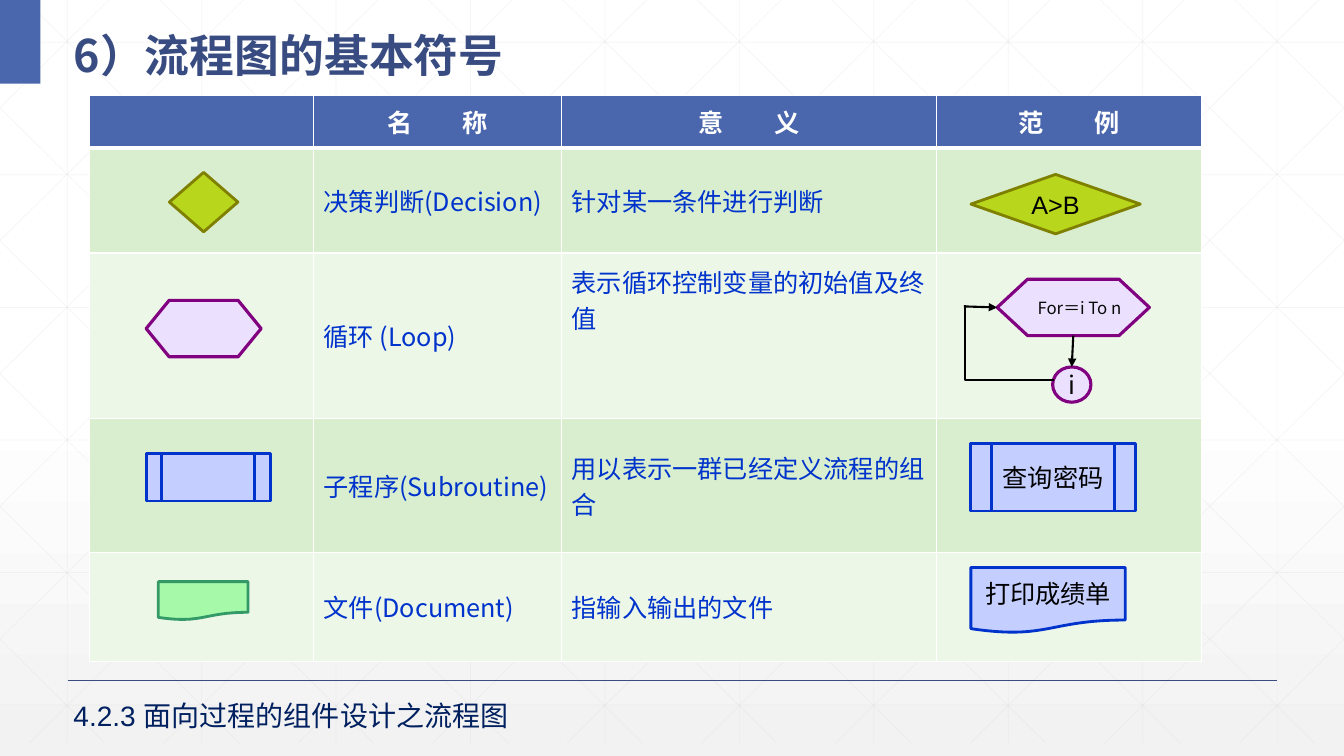
from pptx import Presentation
from pptx.dml.color import RGBColor
from pptx.enum.shapes import MSO_CONNECTOR, MSO_SHAPE
from pptx.enum.text import MSO_ANCHOR, MSO_AUTO_SIZE, PP_ALIGN
from pptx.oxml.ns import qn
from pptx.util import Inches, Pt
from lxml.etree import SubElement

WIDTH, HEIGHT = 13.33, 7.5
NOTO, ARIAL = "Noto Sans CJK SC", "Arial"
COLORS = {
    "white": "FFFFFF", "mist": "F2F2F2", "grid": "D9D9D9", "navy": "384C81",
    "header": "4A66AC", "band": "D8EECE", "pale": "ECF7E8", "blue": "0033CC",
    "footer": "002060", "black": "000000", "ink": "080808", "lime": "B7D61C",
    "olive": "808000", "lavender": "EBE1FF", "purple": "800080",
    "sky": "C5CFFF", "mint": "A5F9A9", "green": "339966",
}


def color(name):
    return RGBColor.from_string(COLORS[name])


class FlowchartSlide:
    def __init__(self, presentation):
        self.slide = presentation.slides.add_slide(presentation.slide_layouts[5])
        self.shapes = self.slide.shapes

    def background(self):
        fill = self.slide.background.fill
        fill.gradient()
        fill.gradient_angle = 270
        for stop, name, position in zip(fill.gradient_stops, ("white", "mist"), (0.53, 1)):
            stop.color.rgb = color(name)
            stop.position = position

    def run(self, paragraph, text, size, name, font=NOTO, bold=False, gap=0):
        run = paragraph.add_run()
        run.text = text
        run.font.size = Pt(size)
        run.font.bold = bold
        run.font.name = font
        run.font.color.rgb = color(name)
        properties = run.font._element
        east_asian = SubElement(properties, qn("a:ea"))
        east_asian.set("typeface", NOTO)
        if gap:
            properties.set("spc", str(gap * 100))

    def line(self, start, end, name, width, kind=MSO_CONNECTOR.STRAIGHT, alpha=None, arrow=False):
        points = [Inches(value) for value in (*start, *end)]
        connector = self.shapes.add_connector(kind, *points)
        connector.line.color.rgb = color(name)
        connector.line.width = Pt(width)
        properties = connector.element.spPr
        outline = properties.find(qn("a:ln"))
        if alpha:
            opacity = SubElement(outline.find(".//" + qn("a:srgbClr")), qn("a:alpha"))
            opacity.set("val", str(alpha * 1000))
        if arrow:
            SubElement(outline, qn("a:tailEnd")).set("type", "triangle")
        SubElement(properties, qn("a:effectLst"))
        return connector

    def elbow(self, start, end, name, width, bend):
        connector = self.line(start, end, name, width, MSO_CONNECTOR.ELBOW)
        guides = connector.element.spPr.find(".//" + qn("a:avLst"))
        guide = SubElement(guides, qn("a:gd"))
        guide.set("name", "adj1")
        guide.set("fmla", f"val {bend}")

    def symbol(self, kind, box, fill, border=None, width=2.0, runs=(), size=18,
               text_color="black", centered=True):
        shape = self.shapes.add_shape(kind, *[Inches(value) for value in box])
        shape.shadow.inherit = False
        shape.fill.solid()
        shape.fill.fore_color.rgb = color(fill)
        if border:
            shape.line.color.rgb = color(border)
            shape.line.width = Pt(width)
        else:
            shape.line.fill.background()
        if runs:
            frame = shape.text_frame
            frame.word_wrap = centered
            frame.vertical_anchor = MSO_ANCHOR.MIDDLE
            paragraph = frame.paragraphs[0]
            paragraph.alignment = PP_ALIGN.CENTER if centered else PP_ALIGN.LEFT
            for text, font in runs:
                self.run(paragraph, text, size, text_color, font)
        return shape

    def title(self, box, text):
        title = self.shapes.title
        title.element.getparent().append(title.element)
        title.left, title.top, title.width, title.height = [Inches(value) for value in box]
        frame = title.text_frame
        frame.auto_size = MSO_AUTO_SIZE.NONE
        frame.vertical_anchor = MSO_ANCHOR.MIDDLE
        paragraph = frame.paragraphs[0]
        paragraph.alignment = PP_ALIGN.LEFT
        paragraph.line_spacing = 1.3
        self.run(paragraph, text, 32, "navy", bold=True)

    def text(self, box, text, size, name, font):
        frame = self.shapes.add_textbox(*[Inches(value) for value in box]).text_frame
        frame.word_wrap = True
        frame.auto_size = MSO_AUTO_SIZE.SHAPE_TO_FIT_TEXT
        self.run(frame.paragraphs[0], text, size, name, font)

    def cell_style(self, cell, fill, widths):
        properties = cell._tc.get_or_add_tcPr()
        for side, width in widths.items():
            border = SubElement(properties, qn(f"a:ln{side}"))
            border.set("w", str(Pt(width)))
            paint = SubElement(border, qn("a:solidFill"))
            SubElement(paint, qn("a:srgbClr")).set("val", COLORS["white"])
        cell.fill.solid()
        cell.fill.fore_color.rgb = color(fill)
        cell.vertical_anchor = MSO_ANCHOR.MIDDLE

    def table(self, box, widths, heights, headings, rows):
        frame = self.shapes.add_table(len(heights), len(widths), *[Inches(value) for value in box])
        table = frame.table
        for column, width in zip(table.columns, widths):
            column.width = Inches(width)
        for index, height in enumerate(heights):
            table.rows[index].height = Inches(height)
            fill = "header" if index == 0 else ("pale", "band")[index % 2]
            borders = {"L": 1, "R": 1, "T": 3 if index == 1 else 1, "B": 3 if index == 0 else 1}
            for cell in table.rows[index].cells:
                self.cell_style(cell, fill, borders)
        for column, (first, last) in enumerate(headings, 1):
            paragraph = table.cell(0, column).text_frame.paragraphs[0]
            paragraph.alignment = PP_ALIGN.CENTER
            self.run(paragraph, first, 18, "white", bold=True, gap=36)
            self.run(paragraph, last, 18, "white", bold=True)
        for index, texts in enumerate(rows, 1):
            for column, text in enumerate(texts, 1):
                paragraph = table.cell(index, column).text_frame.paragraphs[0]
                self.run(paragraph, text, 18, "blue")
        return table

    def grid(self):
        bottom, pitch, reach = 7.37, 4 / 3, 7.455
        lines = [((2 / 3 + pitch * i, 0), (2 / 3 + pitch * i, bottom)) for i in range(10)]
        lines += [((0, 0.42 + 1.315 * i), (WIDTH, 0.42 + 1.315 * i)) for i in range(6)]
        for i in range(-5, 10):
            origin = 0.25 + pitch * i
            left, right = max(origin, 0), min(origin + reach, WIDTH)
            top, low = [(x - origin) * bottom / reach for x in (left, right)]
            lines.append(((left, top), (right, low)))
            lines.append(((WIDTH - left, top), (WIDTH - right, low)))
        for start, end in lines:
            self.line(start, end, "grid", 0.5, alpha=25)


def main():
    presentation = Presentation()
    presentation.slide_width, presentation.slide_height = Inches(WIDTH), Inches(HEIGHT)
    page = FlowchartSlide(presentation)
    page.background()
    page.grid()
    page.line((0.67, 6.75), (12.67, 6.75), "navy", 1)
    page.symbol(MSO_SHAPE.RECTANGLE, (0, 0, 0.4, 0.83), "header")
    table = page.table(
        (0.89, 0.95, 11.02, 5.61), (2.22, 2.46, 3.72, 2.63), (0.52, 1.04, 1.64, 1.33, 1.08),
        ("名称", "意义", "范例"),
        (("决策判断(Decision)", "针对某一条件进行判断"),
         ("循环 (Loop)", "表示循环控制变量的初始值及终值"),
         ("子程序(Subroutine)", "用以表示一群已经定义流程的组合"),
         ("文件(Document)", "指输入输出的文件")))
    table.cell(2, 2).margin_bottom = Inches(0.77)
    page.title((0.63, 0.1, 12.42, 0.73), "6）流程图的基本符号")

    decision, process = MSO_SHAPE.FLOWCHART_DECISION, MSO_SHAPE.FLOWCHART_PREDEFINED_PROCESS
    document, preparation = MSO_SHAPE.FLOWCHART_DOCUMENT, MSO_SHAPE.FLOWCHART_PREPARATION
    page.symbol(decision, (1.68, 1.71, 0.68, 0.59), "lime", "olive")
    page.symbol(process, (1.45, 4.5, 1.23, 0.47), "sky", "blue")
    page.symbol(document, (1.57, 5.77, 0.89, 0.38), "mint", "green")
    page.symbol(decision, (9.63, 1.73, 1.68, 0.59), "lime", "olive", runs=[("A>B", ARIAL)])
    page.symbol(preparation, (1.45, 2.98, 1.14, 0.56), "lavender", "purple", 2.25)
    loop = page.symbol(preparation, (9.89, 2.77, 1.51, 0.56), "lavender", "purple", 2.25,
                       [("For＝i To n", NOTO)], 12, "ink", False)
    counter = page.symbol(MSO_SHAPE.OVAL, (10.44, 3.64, 0.38, 0.35), "lavender", "purple", 2.25,
                          [("i", NOTO)], 18, "ink", False)
    step = page.line((10.64, 3.35), (10.63, 3.65), "black", 1.5, arrow=True)
    step.begin_connect(loop, 2)
    step.end_connect(counter, 0)
    page.elbow((10.45, 3.77), (9.57, 3.03), "black", 1.5, 100000)
    entry = page.line((9.56, 3.04), (9.87, 3.05), "black", 1.5, arrow=True)
    entry.end_connect(loop, 1)
    page.symbol(process, (9.63, 4.4, 1.63, 0.67), "sky", "blue", runs=[("查询密码", ARIAL)])
    page.symbol(document, (9.63, 5.63, 1.53, 0.65), "sky", "blue",
                runs=[("打印", ARIAL), ("成绩单", NOTO)])
    page.text((0.63, 6.88, 4.69, 0.44), "4.2.3 面向过程的组件设计之流程图", 20, "footer", ARIAL)
    presentation.save("out.pptx")


if __name__ == "__main__":
    main()
